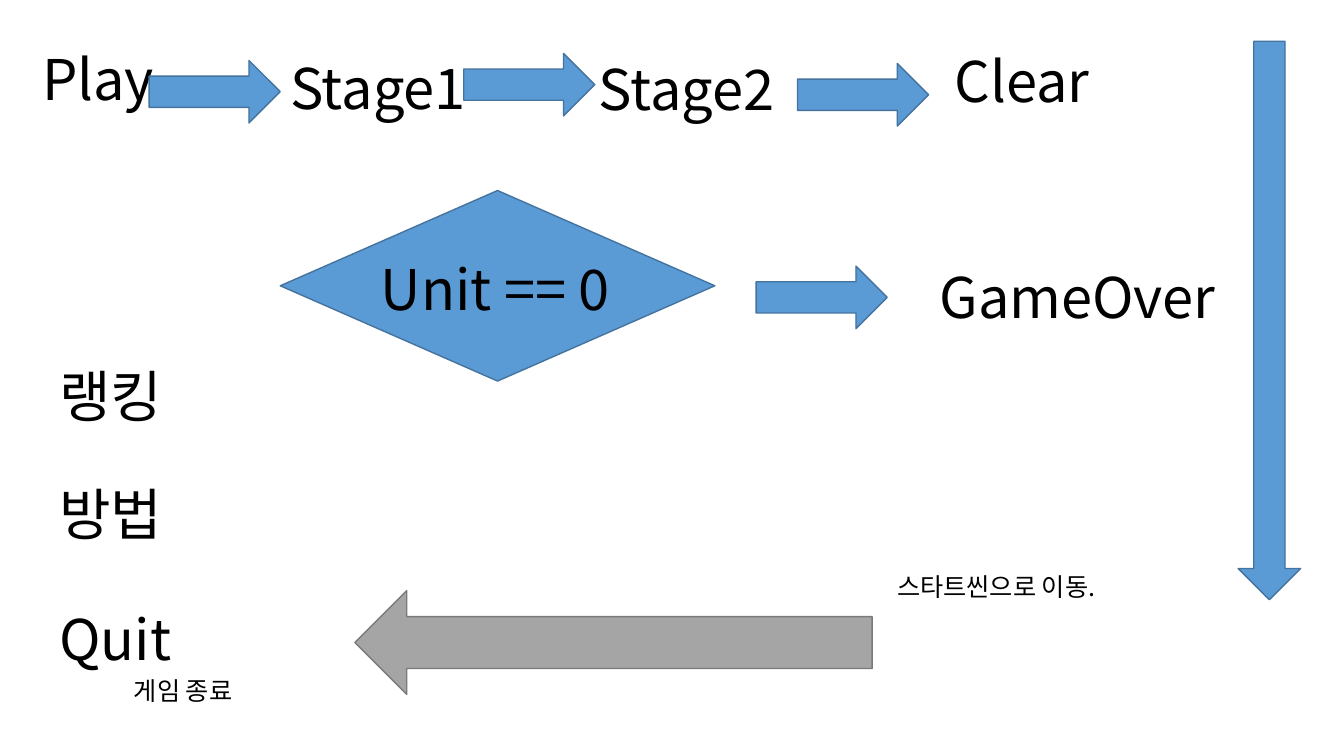
from lxml.etree import SubElement
from pptx import Presentation
from pptx.dml.color import RGBColor
from pptx.enum.shapes import MSO_SHAPE
from pptx.enum.text import MSO_AUTO_SIZE
from pptx.oxml.ns import qn
from pptx.util import Inches, Pt

THEME = {
    "font": "Noto Sans CJK KR",
    "text": "000000",
    "label": {"size": 40, "height": 0.77},
    "note": {"size": 18, "height": 0.4},
    "step": {"fill": "5B9BD5", "line": "43739E"},
    "back": {"fill": "A5A5A5", "line": "7A7A7A"},
    "line_width": 1,
}

LABEL_WIDTH = 2.96
ARROW_SIZE = (1.3, 0.62)
MENU_LEFT = 0.49

DECISION = (2.78, 1.89, 4.31, 1.89)
LABELS = [
    ("Play", 0.32, 0.39, LABEL_WIDTH),
    ("Stage1", 2.78, 0.48, LABEL_WIDTH),
    ("Stage2", 5.84, 0.49, LABEL_WIDTH),
    ("Clear", 9.37, 0.41, LABEL_WIDTH),
    ("Unit == 0", 3.68, 2.48, 4.13),
    ("GameOver", 9.22, 2.56, LABEL_WIDTH),
    ("랭킹", MENU_LEFT, 3.54, LABEL_WIDTH),
    ("방법", MENU_LEFT, 4.71, LABEL_WIDTH),
    ("Quit", MENU_LEFT, 5.95, LABEL_WIDTH),
]
NOTES = [
    ("게임 종료", 1.23, 6.65, 6.92),
    ("스타트씬으로 이동.", 8.8, 5.62, 3.08),
]
STEP_ARROWS = [(1.48, 0.6), (4.6, 0.53), (7.91, 0.63), (7.5, 2.64)]
DOWN_ARROW = (9.82, 2.87, 5.54, 0.62)
BACK_ARROW = (3.52, 5.86, 5.13, 1.03)


def add_block(page, kind, area, style, rotation=0):
    block = page.shapes.add_shape(kind, *map(Inches, area))
    block.rotation = rotation
    block.shadow.inherit = False
    block.fill.solid()
    block.fill.fore_color.rgb = RGBColor.from_string(THEME[style]["fill"])
    block.line.color.rgb = RGBColor.from_string(THEME[style]["line"])
    block.line.width = Pt(THEME["line_width"])


def add_text(page, text, left, top, width, style):
    area = (left, top, width, THEME[style]["height"])
    box = page.shapes.add_textbox(*map(Inches, area))
    frame_format = {"word_wrap": True, "auto_size": MSO_AUTO_SIZE.SHAPE_TO_FIT_TEXT}
    for name, value in frame_format.items():
        setattr(box.text_frame, name, value)
    span = box.text_frame.paragraphs[0].add_run()
    span.text = text
    font_format = {"name": THEME["font"], "size": Pt(THEME[style]["size"])}
    for name, value in font_format.items():
        setattr(span.font, name, value)
    span.font.color.rgb = RGBColor.from_string(THEME["text"])
    east_asian = SubElement(span.font._element, qn("a:ea"))
    east_asian.set("typeface", THEME["font"])


def main():
    deck = Presentation()
    deck.slide_width, deck.slide_height = Inches(13.33), Inches(7.5)
    page = deck.slides.add_slide(deck.slide_layouts[6])
    add_block(page, MSO_SHAPE.FLOWCHART_DECISION, DECISION, "step")
    for style, entries in (("label", LABELS), ("note", NOTES)):
        for entry in entries:
            add_text(page, *entry, style)
    for corner in STEP_ARROWS:
        add_block(page, MSO_SHAPE.RIGHT_ARROW, corner + ARROW_SIZE, "step")
    add_block(page, MSO_SHAPE.RIGHT_ARROW, DOWN_ARROW, "step", 90)
    add_block(page, MSO_SHAPE.LEFT_ARROW, BACK_ARROW, "back")
    deck.save("out.pptx")


if __name__ == "__main__":
    main()
